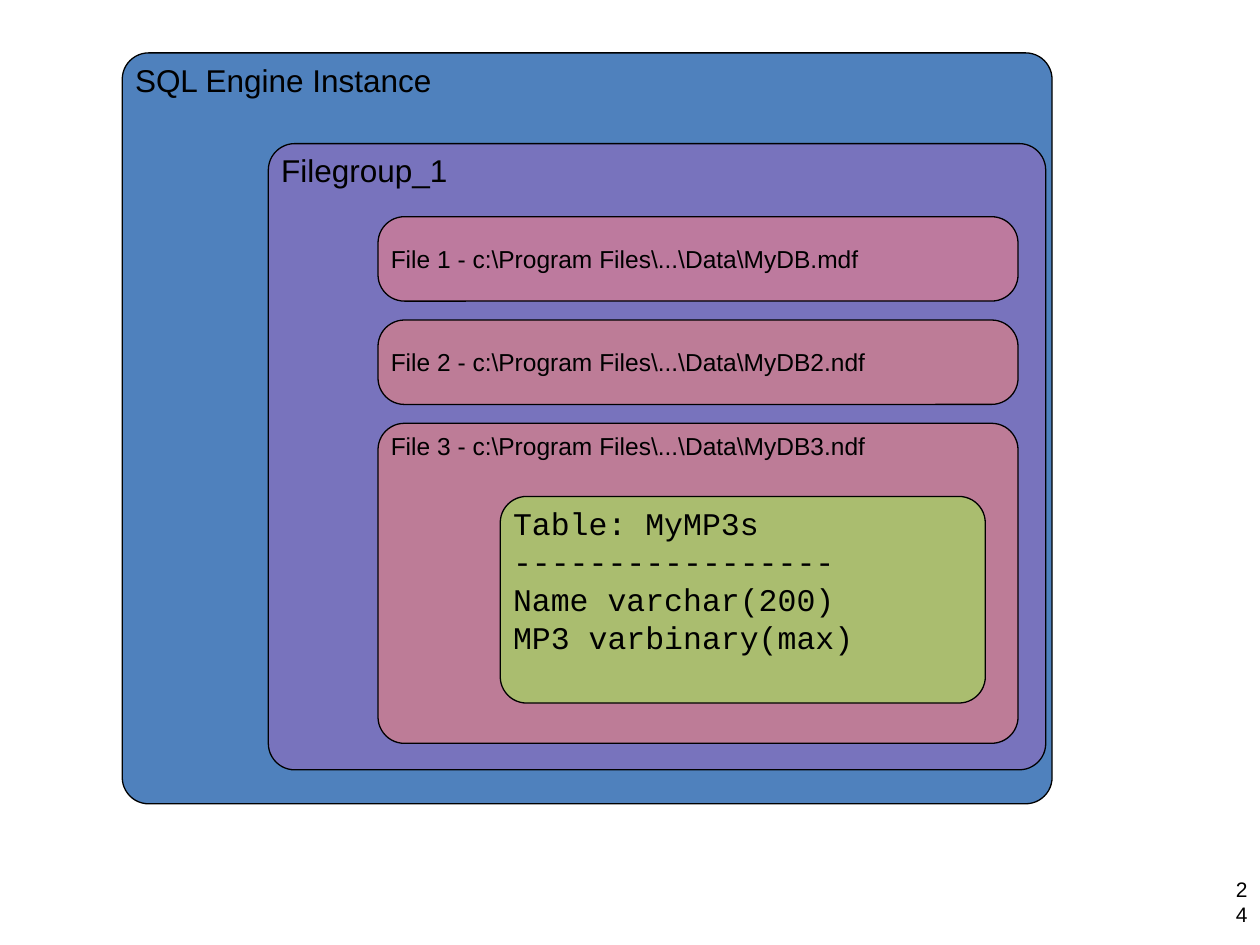
from dataclasses import dataclass

from pptx import Presentation
from pptx.dml.color import RGBColor
from pptx.enum.shapes import MSO_SHAPE
from pptx.enum.text import MSO_ANCHOR, PP_ALIGN
from pptx.util import Inches, Pt

ROUNDED = MSO_SHAPE.ROUNDED_RECTANGLE
TOP, MIDDLE = MSO_ANCHOR.TOP, MSO_ANCHOR.MIDDLE
LEFT, RIGHT = PP_ALIGN.LEFT, PP_ALIGN.RIGHT


@dataclass(frozen=True)
class Theme:
    instance: str = "4F81BD"
    filegroup: str = "7873BD"
    primary_file: str = "BD7A9E"
    secondary_file: str = "BD7C97"
    table: str = "AABD6F"
    ink: str = "000000"
    sans: str = "Arial"
    mono: str = "Courier New"
    title_size: int = 18
    file_size: int = 14
    number_size: int = 12


THEME = Theme()
CORNER_RADIUS = 0.21
INSET = 0.04
FILE_LEFT, FILE_TOP, FILE_WIDTH, FILE_PITCH = 3, 1.72, 5.08, 0.82


def write_text(shape, text, font_name, size, anchor, alignment):
    frame = shape.text_frame
    frame.word_wrap = True
    frame.vertical_anchor = anchor
    frame.text = text
    for paragraph in frame.paragraphs:
        paragraph.alignment = alignment
        for run in paragraph.runs:
            run.font.name = font_name
            run.font.size = Pt(size)
            run.font.color.rgb = RGBColor.from_string(THEME.ink)


def add_container(left, top, width, height, fill, text, size, font_name=THEME.sans, anchor=TOP):
    """Add a labelled box whose corner radius is the same at any size."""
    shape = slide.shapes.add_shape(
        ROUNDED, Inches(left), Inches(top), Inches(width), Inches(height)
    )
    shape.adjustments[0] = CORNER_RADIUS / min(width, height)
    shape.shadow.inherit = False
    shape.fill.solid()
    shape.fill.fore_color.rgb = RGBColor.from_string(fill)
    shape.line.color.rgb = RGBColor.from_string(THEME.ink)
    shape.line.width = Pt(0.75)
    frame = shape.text_frame
    frame.margin_left = frame.margin_right = Inches(INSET)
    frame.margin_top = frame.margin_bottom = 0
    write_text(shape, text, font_name, size, anchor, LEFT)


presentation = Presentation()
presentation.slide_width = Inches(10)
presentation.slide_height = Inches(7.5)
slide = presentation.slides.add_slide(presentation.slide_layouts[6])

slide_number = slide.shapes.add_textbox(Inches(9.71), Inches(7), Inches(0.29), Inches(0.31))
write_text(slide_number, "24", THEME.sans, THEME.number_size, MIDDLE, RIGHT)

add_container(0.97, 0.42, 7.38, 5.96, THEME.instance, "SQL Engine Instance", THEME.title_size)
add_container(2.13, 1.14, 6.17, 4.97, THEME.filegroup, "Filegroup_1", THEME.title_size)

files = [
    ("MyDB.mdf", 0.67, THEME.primary_file, MIDDLE),
    ("MyDB2.ndf", 0.67, THEME.secondary_file, MIDDLE),
    ("MyDB3.ndf", 2.54, THEME.secondary_file, TOP),
]
for index, (file_name, height, fill, anchor) in enumerate(files):
    add_container(
        FILE_LEFT, FILE_TOP + index * FILE_PITCH, FILE_WIDTH, height, fill,
        f"File {index + 1} - c:\\Program Files\\...\\Data\\{file_name}",
        THEME.file_size, anchor=anchor,
    )

table_lines = ["Table: MyMP3s", "-" * 17, "Name varchar(200)", "MP3 varbinary(max)"]
add_container(
    3.97, 3.94, 3.85, 1.64, THEME.table, "\n".join(table_lines), THEME.title_size, THEME.mono
)

presentation.save("out.pptx")
